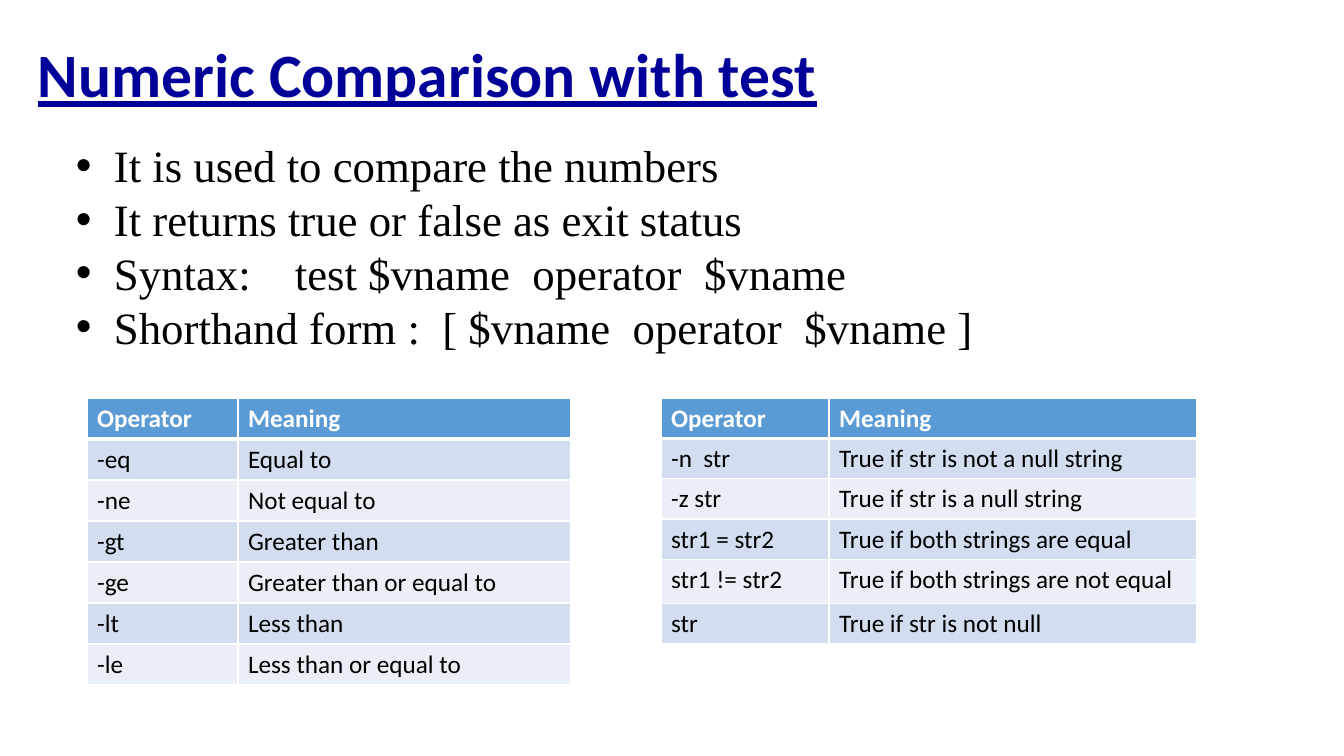
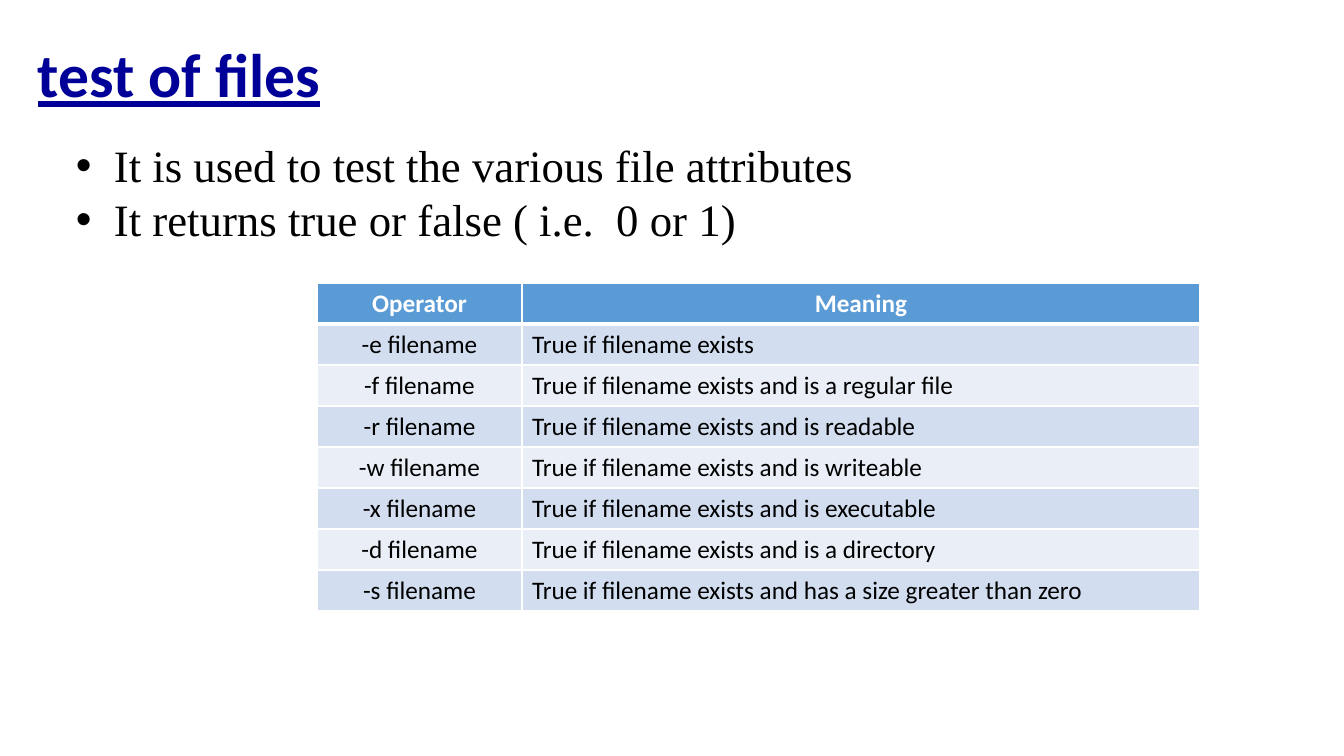
import pptx
import pptx.util
import pptx.dml.color
import pptx.enum.text
import pptx.oxml.ns
import lxml.etree

# Content
HEAD = ("Operator", "Meaning")
NUMS = [
    HEAD,
    ("-eq", "Equal to"),
    ("-ne", "Not equal to"),
    ("-gt", "Greater than"),
    ("-ge", "Greater than or equal to"),
    ("-lt", "Less than"),
    ("-le", "Less than or equal to"),
]
STRS = [
    HEAD,
    ("-n  str", "True if str is not a null string"),
    ("-z str", "True if str is a null string"),
    ("str1 = str2", "True if both strings are equal"),
    ("str1 != str2", "True if both strings are not equal"),
    ("str", "True if str is not null"),
]
FILES = [
    HEAD,
    ("-e filename", "True if filename exists"),
    ("-f filename", "True if filename exists and is a regular file"),
    ("-r filename", "True if filename exists and is readable"),
    ("-w filename", "True if filename exists and is writeable"),
    ("-x filename", "True if filename exists and is executable"),
    ("-d filename", "True if filename exists and is a directory"),
    ("-s filename", "True if filename exists and has a size greater than zero"),
]
SLIDES = [
    {
        "title": "Numeric Comparison with test",
        "points": [
            "It is used to compare the numbers",
            "It returns true or false as exit status",
            "Syntax:\ttest $vname  operator  $vname",
            "Shorthand form :  [ $vname  operator  $vname ]",
        ],
        "tall": 390,
        "tables": [
            {"rows": NUMS, "at": (87, 398), "cols": (151, 333), "high": [41] * 7},
            {"rows": STRS, "at": (661, 398), "cols": (168, 368),
             "high": [40, 40, 40, 40, 44, 40]},
        ],
    },
    {
        "title": "test of files",
        "points": [
            "It is used to test the various file attributes",
            "It returns true or false ( i.e.  0 or 1)",
        ],
        "tall": 119,
        "tables": [
            {"rows": FILES, "at": (317, 283), "cols": (205, 678),
             "high": [41] * 8, "center": True},
        ],
    },
]

# Shared style
HUES = {"title": "000099", "text": "000000", "head": "5B9BD5",
        "odd": "D2DEEF", "even": "EAEFF7", "white": "FFFFFF"}
SANS, SERIF = "Calibri", "Times New Roman"
TITLE = (28, 41, 1008, 74)
BODY = (66, 133, 1253)
HANG, STOP = 38, 219
ALIGN = pptx.enum.text.PP_ALIGN
MIDDLE = pptx.enum.text.MSO_ANCHOR.MIDDLE
qn = pptx.oxml.ns.qn


def px(n):
    return pptx.util.Emu(round(n * 914400 / 100.8))


def hue(key):
    return pptx.dml.color.RGBColor.from_string(HUES[key])


def sub(node, tag, **attrs):
    return lxml.etree.SubElement(node, qn("a:" + tag), attrs)


def style(para, face, size, key, bold=False, line=False):
    for run in para.runs:
        font = run.font
        font.name, font.size = face, pptx.util.Pt(size)
        font.bold, font.underline = bold, line
        font.color.rgb = hue(key)


def add_box(slide, spot):
    frame = slide.shapes.add_textbox(*map(px, spot)).text_frame
    frame.word_wrap = True
    return frame


def add_title(slide, text):
    frame = add_box(slide, TITLE)
    frame.vertical_anchor = MIDDLE
    frame.text = text
    para = frame.paragraphs[0]
    para.line_spacing = 0.9
    style(para, SANS, 44, "title", bold=True, line=True)


def add_points(slide, lines, tall):
    frame = add_box(slide, (*BODY, tall))
    frame.text = "\n".join(lines)
    for para in frame.paragraphs:
        para.alignment = ALIGN.JUSTIFY
        style(para, SERIF, 32, "text")
        props = para._p.get_or_add_pPr()
        props.set("marL", str(px(HANG)))
        props.set("indent", str(-px(HANG)))
        sub(props, "buFont", typeface="Arial")
        sub(props, "buChar", char="•")
        if "\t" in para.text:
            sub(sub(props, "tabLst"), "tab", pos=str(px(STOP)), algn="l")


def add_edges(cell, head):
    props = cell._tc.get_or_add_tcPr()
    for side in "LRTB":
        wide = 3 if head and side == "B" else 1
        edge = sub(props, "ln" + side, w=str(pptx.util.Pt(wide)))
        sub(sub(edge, "solidFill"), "srgbClr", val=HUES["white"])


def add_table(slide, rows, at, cols, high, center=False):
    spot = (*at, sum(cols), sum(high))
    table = slide.shapes.add_table(len(rows), len(cols), *map(px, spot)).table
    table.horz_banding = False
    for col, wide in zip(table.columns, cols):
        col.width = px(wide)
    for r, words in enumerate(rows):
        table.rows[r].height = px(high[r])
        head = r == 0
        band = "head" if head else ("odd" if r % 2 else "even")
        for c, word in enumerate(words):
            cell = table.cell(r, c)
            cell.text = word
            para = cell.text_frame.paragraphs[0]
            style(para, SANS, 18, "white" if head else "text", bold=head)
            if center and (head or c == 0):
                para.alignment = ALIGN.CENTER
            add_edges(cell, head)
            cell.fill.solid()
            cell.fill.fore_color.rgb = hue(band)


# Build
deck = pptx.Presentation()
deck.slide_width, deck.slide_height = px(1344), px(756)
for page in SLIDES:
    slide = deck.slides.add_slide(deck.slide_layouts[6])
    add_title(slide, page["title"])
    add_points(slide, page["points"], page["tall"])
    for grid in page["tables"]:
        add_table(slide, **grid)
deck.save("out.pptx")
